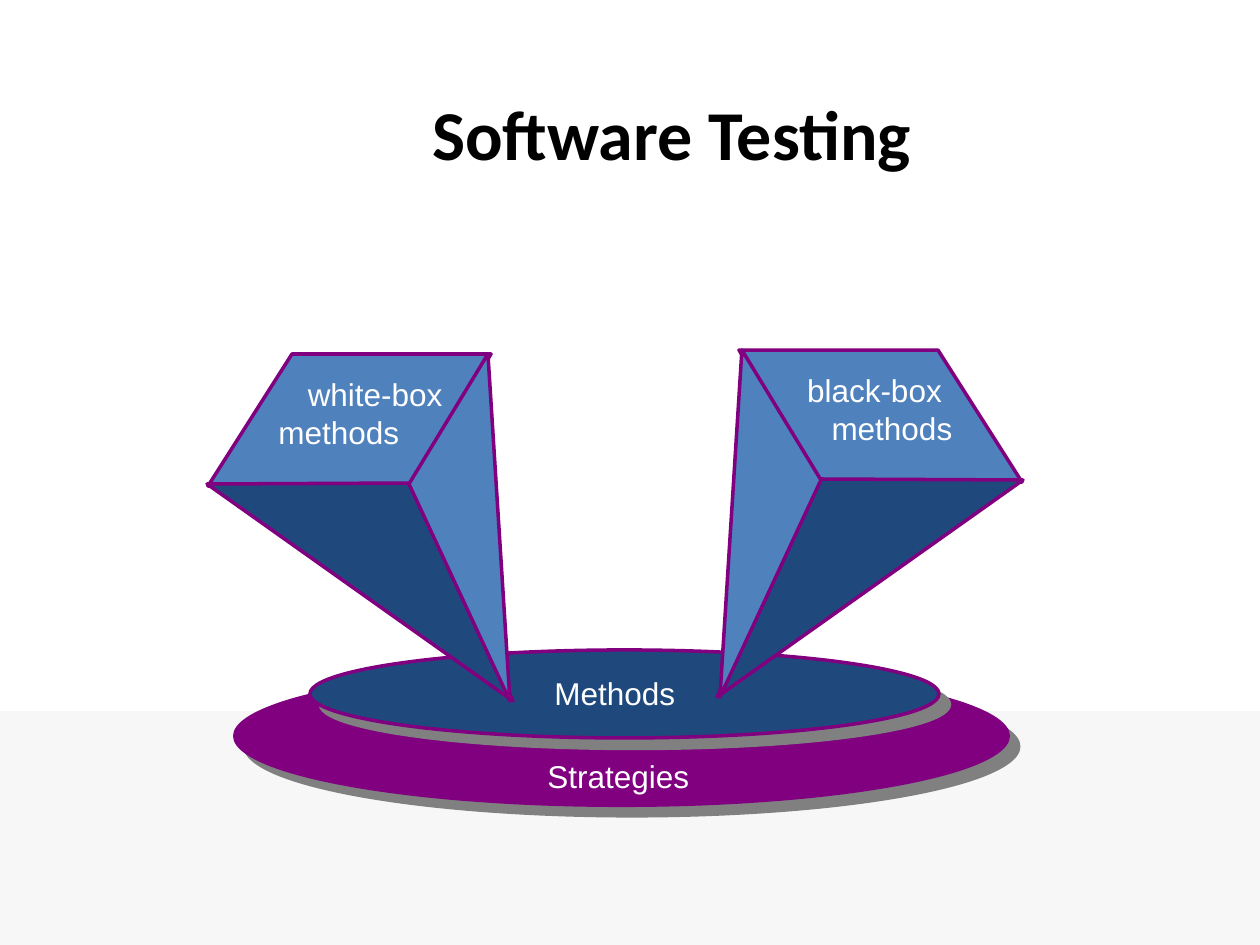
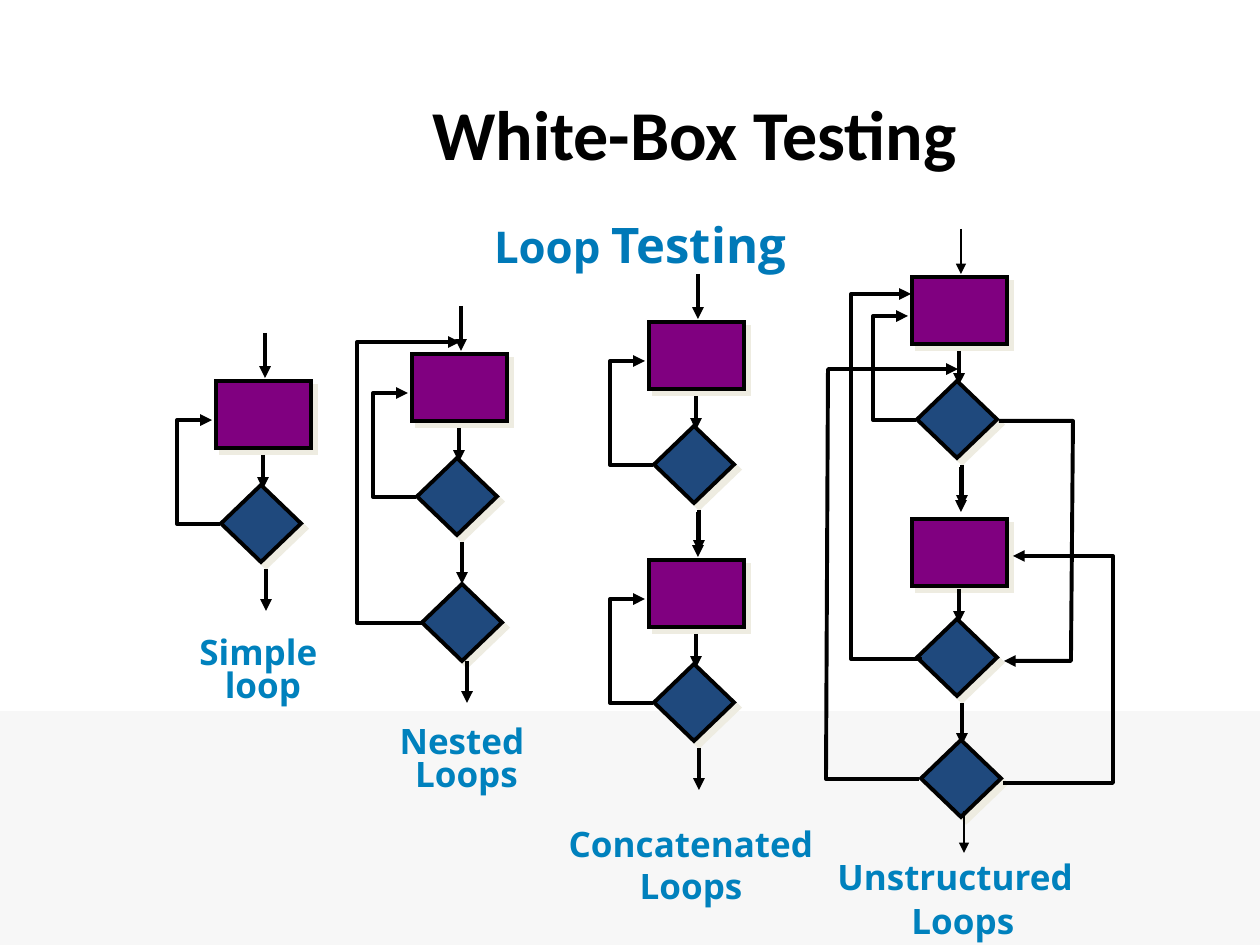
import pptx
import pptx.dml.color
import pptx.enum.shapes
import pptx.enum.text
import pptx.oxml
import pptx.oxml.ns
import pptx.util
from lxml import etree

SHAPE = pptx.enum.shapes.MSO_SHAPE
ALIGN = pptx.enum.text.PP_ALIGN
LEFT, CENTER, RIGHT = ALIGN.LEFT, ALIGN.CENTER, ALIGN.RIGHT
PX_PER_INCH = 126
SLIDE_SIZE = (1260, 945)

COLORS = {
    "band": "F7F7F7", "title": "000000", "subtitle": "0079B8",
    "caption": "0081BD", "light": "FFFFFF", "flow": "000000",
    "purple": "800080", "navy": "1F497D", "blue": "4F81BD",
    "gray shadow": "808080", "cream shadow": "EEECE1",
}

# Shared by both slides
BAND_BOX = (0, 711, 1260, 234)
TITLE_BOX = (420, 84, 766, 97)

# Software testing: two discs carrying two pyramids
DISCS = [  # box, fill, outline
    ((233, 665, 777, 142), "purple", None),
    ((310, 650, 629, 88), "navy", "purple"),
]
DISC_LABELS = [("Methods", (542, 668, 150, 50)), ("Strategies", (535, 751, 174, 50))]
PYRAMID_FACES = [
    ("blue", [(491, 354), (292, 354), (208, 486), (413, 486)]),
    ("navy", [(207, 484), (513, 701), (409, 483)]),
    ("blue", [(510, 701), (409, 484), (488, 354)]),
]
MIRROR_SUM, MIRROR_RISE = 1230, 4
PYRAMID_LABELS = [  # box, then (text, alignment, left indent)
    ((266, 369, 189, 126), [("white-box", RIGHT, 0), ("methods", LEFT, 0)]),
    ((780, 365, 189, 88), [("black-box", CENTER, 0), ("methods", CENTER, 35)]),
]

# Loop testing: every loop is a step and a test, placed from one origin
SUBTITLE = [("Loop ", 25), ("Testing", 28)]
SUBTITLE_BOX = (312, 209, 656, 69)
STEP_SIZE, TEST_SIZE = (95, 67), (80, 77)
TEST_OFFSET = (5, 104)
ENTRY = [(49, -48), (49, -3)]
STEP_TO_TEST = [(47, 74), (47, 108)]
EXIT = [(50, 188), (50, 230)]
LOOP_BACK = [(4, 143), (-39, 143), (-39, 39), (-4, 39)]
LOOPS = [  # origin, step drop, has its own loop back, entry width
    ((216, 381), 0, True, 2.25),
    ((412, 354), 0, True, 2.25),
    ((649, 322), 0, True, 2.25),
    ((649, 560), 0, True, 2.25),
    ((912, 277), 0, True, 1),
    ((912, 515), 4, False, 2.25),
]
OUTER_TESTS = [(422, 584), (921, 740)]
OUTER_EXITS = [([(467, 661), (467, 703)], 2.25), ([(964, 811), (964, 853)], 1)]
OUTER_JUMPS = [
    [(422, 623), (357, 623), (357, 342), (460, 342)],
    [(922, 659), (851, 659), (851, 294), (911, 294)],
    [(999, 421), (1073, 421), (1071, 661), (1004, 661)],
    [(1003, 783), (1113, 783), (1113, 556), (1013, 556)],
    [(919, 779), (826, 779), (828, 369), (958, 369)],
]
CAPTIONS = [  # lines, box, alignment, line spacing
    (["Simple ", "loop"], (187, 632, 152, 79), CENTER, 0.8),
    (["Nested ", "Loops"], (387, 721, 159, 79), CENTER, 0.8),
    (["Concatenated", "Loops"], (556, 816, 270, 96), CENTER, None),
    (["Unstructured"], (825, 849, 325, 54), LEFT, None),
    (["Loops"], (899, 893, 136, 54), LEFT, None),
]


def px(length):
    return pptx.util.Emu(round(length * 914400 / PX_PER_INCH))


def rgb(name):
    return pptx.dml.color.RGBColor.from_string(COLORS[name])


def shifted(points, origin):
    return [(x + origin[0], y + origin[1]) for x, y in points]


def add_child(parent, tag, **attributes):
    child = etree.SubElement(parent, pptx.oxml.ns.qn(tag))
    for key, value in attributes.items():
        child.set(key, str(value))
    return child


def paint(shape, fill, outline=None, width=2.25):
    shape.shadow.inherit = False
    if fill:
        shape.fill.solid()
        shape.fill.fore_color.rgb = rgb(fill)
    else:
        shape.fill.background()
    if outline:
        shape.line.color.rgb = rgb(outline)
        shape.line.width = pptx.util.Pt(width)
    else:
        shape.line.fill.background()


def finish_line(shape, join="a:round", arrow=False):
    line = shape.line._get_or_add_ln()
    add_child(line, join)
    if arrow:
        add_child(line, "a:tailEnd", type="triangle")


def add_solid(slide, preset, box, fill, outline=None, width=2.25, shadow=None):
    """Add a preset shape; shadow is (colour, distance in points)."""
    shape = slide.shapes.add_shape(preset, *map(px, box))
    paint(shape, fill, outline, width)
    finish_line(shape, "a:miter")
    if shadow:
        color, distance = shadow
        effects = shape._element.spPr.find(pptx.oxml.ns.qn("a:effectLst"))
        cast = add_child(effects, "a:outerShdw", dist=pptx.util.Pt(distance),
                         dir=45 * 60000, algn="ctr", rotWithShape=0)
        add_child(cast, "a:srgbClr", val=COLORS[color])


def add_outline(slide, points, close):
    corners = [(px(x), px(y)) for x, y in points]
    builder = slide.shapes.build_freeform(*corners[0], scale=1.0)
    builder.add_line_segments(corners[1:], close=close)
    return builder.convert_to_shape()


def add_arrow(slide, points, width=2.25):
    (x1, y1), (x2, y2) = points
    arrow = slide.shapes.add_connector(
        pptx.enum.shapes.MSO_CONNECTOR.STRAIGHT, px(x1), px(y1), px(x2), px(y2))
    arrow.line.color.rgb = rgb("flow")
    arrow.line.width = pptx.util.Pt(width)
    finish_line(arrow, arrow=True)
    add_child(arrow._element.spPr, "a:effectLst")


def add_jump(slide, points):
    """Add a bent arrow through the points."""
    jump = add_outline(slide, points, close=False)
    paint(jump, None, "flow")
    finish_line(jump, arrow=True)


def set_font(font, name, size, color, bold):
    font.name, font.bold = name, bold
    font.color.rgb = rgb(color)
    if size:
        font.size = pptx.util.Pt(size)


def add_text(slide, box, lines, font, wrap=False, spacing=None):
    """Add lines of (text, alignment, left indent) in one font."""
    frame = slide.shapes.add_textbox(*map(px, box)).text_frame
    frame.word_wrap = wrap
    frame.auto_size = pptx.enum.text.MSO_AUTO_SIZE.SHAPE_TO_FIT_TEXT
    for index, (text, alignment, indent) in enumerate(lines):
        paragraph = frame.add_paragraph() if index else frame.paragraphs[0]
        paragraph.text = text
        paragraph.alignment = alignment
        if spacing:
            paragraph.line_spacing = spacing
        if indent:
            paragraph._p.get_or_add_pPr().set("marL", str(px(indent)))
        set_font(paragraph.font, *font)


def start_slide(deck, title):
    slide = deck.slides.add_slide(deck.slide_layouts[6])
    add_solid(slide, SHAPE.RECTANGLE, BAND_BOX, "band")
    add_text(slide, TITLE_BOX, [(title, LEFT, 0)],
             ("Calibri", 40, "title", True), wrap=True)
    return slide


def build_software_testing(deck):
    slide = start_slide(deck, "Software Testing")
    for box, fill, outline in DISCS:
        add_solid(slide, SHAPE.OVAL, box, fill, outline, 2, ("gray shadow", 8.5))
    for mirrored in (False, True):
        for fill, points in PYRAMID_FACES:
            if mirrored:
                points = [(MIRROR_SUM - x, y - MIRROR_RISE) for x, y in points]
            face = add_outline(slide, points, close=True)
            paint(face, fill, "purple", 2)
            finish_line(face)
    label_font = ("Arial", 18, "light", False)
    for text, box in DISC_LABELS:
        add_text(slide, box, [(text, LEFT, 0)], label_font)
    for box, lines in PYRAMID_LABELS:
        add_text(slide, box, lines, label_font, wrap=True)


def add_test(slide, corner):
    add_solid(slide, SHAPE.DIAMOND, (*corner, *TEST_SIZE), "navy", "flow",
              shadow=("cream shadow", 4.2))


def add_loop(slide, origin, step_drop, loops_back, entry_width):
    x, y = origin
    add_solid(slide, SHAPE.RECTANGLE, (x, y + step_drop, *STEP_SIZE), "purple",
              "flow", shadow=("cream shadow", 4.2))
    add_test(slide, shifted([TEST_OFFSET], origin)[0])
    add_arrow(slide, shifted(ENTRY, origin), entry_width)
    add_arrow(slide, shifted(STEP_TO_TEST, origin))
    if loops_back:
        add_jump(slide, shifted(LOOP_BACK, origin))
    add_arrow(slide, shifted(EXIT, origin))


def add_subtitle(slide):
    frame = slide.shapes.add_textbox(*map(px, SUBTITLE_BOX)).text_frame
    frame.word_wrap = True
    frame.vertical_anchor = pptx.enum.text.MSO_ANCHOR.MIDDLE
    paragraph = frame.paragraphs[0]
    paragraph.alignment = CENTER
    set_font(paragraph.font, "Open Sans", None, "subtitle", True)
    for text, size in SUBTITLE:
        run = paragraph.add_run()
        run.text = text
        run.font.size = pptx.util.Pt(size)


def build_loop_testing(deck):
    slide = start_slide(deck, "White-Box Testing")
    add_subtitle(slide)
    for lines, box, alignment, spacing in CAPTIONS:
        add_text(slide, box, [(line, alignment, 0) for line in lines],
                 ("Open Sans", 20, "caption", True), spacing=spacing)
    for loop in LOOPS:
        add_loop(slide, *loop)
    for corner in OUTER_TESTS:
        add_test(slide, corner)
    for points, width in OUTER_EXITS:
        add_arrow(slide, points, width)
    for points in OUTER_JUMPS:
        add_jump(slide, points)


def main():
    deck = pptx.Presentation()
    deck.slide_width, deck.slide_height = map(px, SLIDE_SIZE)
    build_software_testing(deck)
    build_loop_testing(deck)
    deck.save("out.pptx")


if __name__ == "__main__":
    main()
